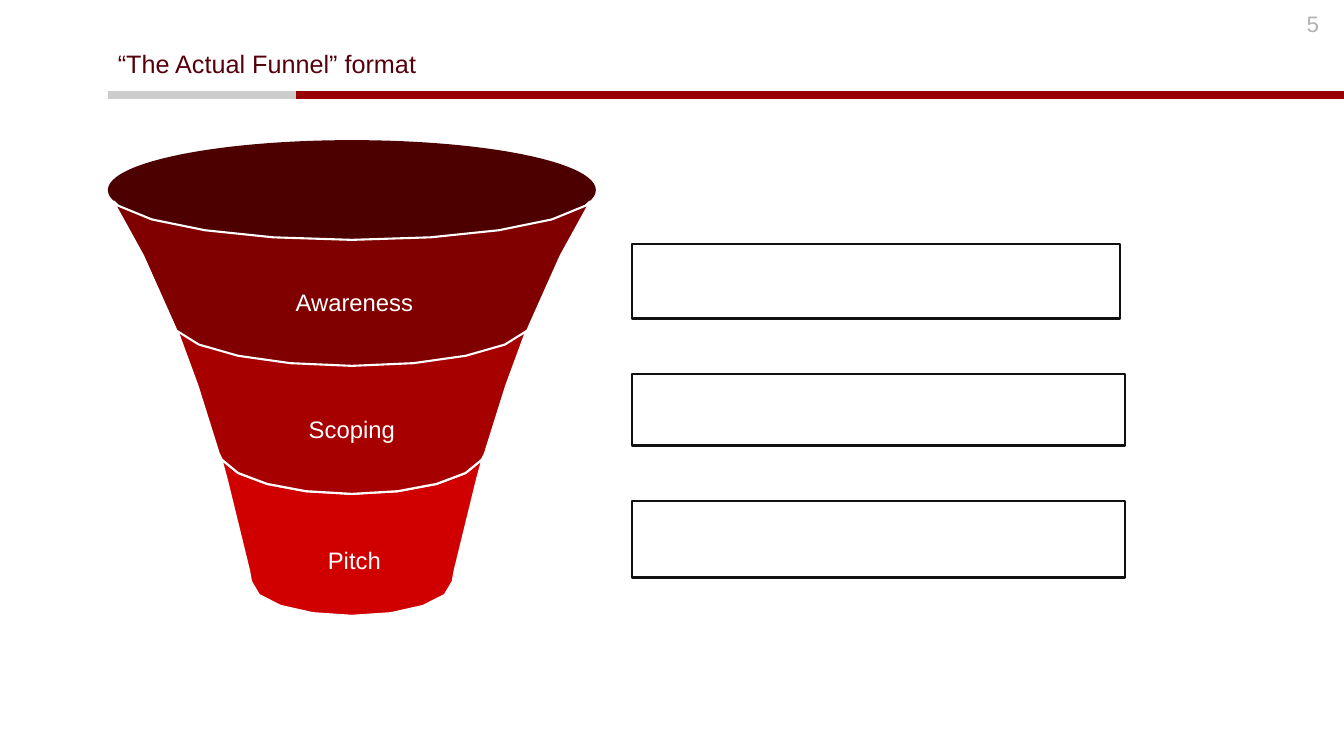
from pptx import Presentation
from pptx import util as u
from pptx.dml.color import RGBColor
from pptx.enum import shapes, text
from pptx.oxml.ns import qn
from lxml import etree

COLORS = {
    "rule": "990000", "rule_start": "CCCCCC", "title": "55000B", "number": "B2B2B2",
    "mouth": "4C0000", "awareness": "800000", "scoping": "A70000", "pitch": "D00000",
    "white": "FFFFFF", "box": "111111",
}
RGB = {name: RGBColor.from_string(value) for name, value in COLORS.items()}
AXIS = 3.49


def curve_points(curve, steps):
    points = []
    for i in range(steps + 1):
        t = i / steps
        weights = ((1 - t) ** 3, 3 * t * (1 - t) ** 2, 3 * t ** 2 * (1 - t), t ** 3)
        points.append(tuple(sum(w * q[k] for w, q in zip(weights, curve)) for k in (0, 1)))
    return points


def add_text(slide, box, content, size, color, align, anchor):
    sp = slide.shapes.add_textbox(*map(u.Inches, box))
    tf = sp.text_frame
    tf.word_wrap = True
    tf.vertical_anchor = anchor
    p = tf.paragraphs[0]
    p.alignment = align
    r = p.add_run()
    r.text = content
    for name, value in {"name": "Arial", "size": u.Pt(size)}.items():
        setattr(r.font, name, value)
    r.font.color.rgb = RGB[color]
    return p


prs = Presentation()
prs.slide_width, prs.slide_height = u.Inches(13.33), u.Inches(7.5)
s = prs.slides.add_slide(prs.slide_layouts[6])

for x1, x2, color in [(1.33, 13.33, "rule"), (1.07, 2.94, "rule_start")]:
    ln = s.shapes.add_connector(shapes.MSO_CONNECTOR.STRAIGHT,
                                u.Inches(x1), u.Inches(0.94), u.Inches(x2), u.Inches(0.94))
    ln.line.width = u.Pt(6)
    ln.line.color.rgb = RGB[color]
    etree.SubElement(ln._element.spPr, qn("a:effectLst"))

p = add_text(s, (1.07, 0.46, 11.63, 0.41), "“The Actual Funnel” format", 18, "title",
             text.PP_ALIGN.LEFT, text.MSO_ANCHOR.TOP)
for name, value in {"line_spacing": 0.9, "space_before": u.Pt(3)}.items():
    setattr(p, name, value)
add_text(s, (12.58, 0.05, 0.6, 0.4), "5", 16, "number",
         text.PP_ALIGN.RIGHT, text.MSO_ANCHOR.TOP)

mouth = s.shapes.add_shape(shapes.MSO_SHAPE.OVAL, *map(u.Inches, (1.07, 1.39, 4.84, 0.99)))
mouth.shadow.inherit = False
mouth.fill.solid()
mouth.fill.fore_color.rgb = RGB["mouth"]
mouth.line.fill.background()

bands = [
    ("pitch",
     [(0, 4.9), (0.64, 4.9), (1.17, 4.75), (1.29, 4.56)], (1.31, 4.5),
     [(1.24, 4.76), (1.16, 5.08), (1.09, 5.38), (1.02, 5.66)],
     [(1, 5.77), (1, 5.96), (0.55, 6.11), (0, 6.11)]),
    ("scoping",
     [(0, 3.62), (0.86, 3.62), (1.57, 3.46), (1.74, 3.26)], (1.77, 3.17),
     [(1.71, 3.34), (1.59, 3.64), (1.48, 3.96), (1.32, 4.5)],
     [(1.29, 4.56), (1.17, 4.75), (0.64, 4.9), (0, 4.9)]),
    ("awareness",
     [(0, 2.38), (1.09, 2.38), (2.02, 2.24), (2.32, 2.04)], (2.36, 2),
     [(2.34, 2.05), (2.16, 2.34), (1.99, 2.68), (1.78, 3.19)],
     [(1.74, 3.28), (1.57, 3.48), (0.86, 3.63), (0, 3.63)]),
]
for color, rim, lip, side, base in bands:
    half = curve_points(rim, 4) + [lip] + curve_points(side, 2) + curve_points(base, 4)
    outline = [(AXIS + x, y) for x, y in half] + [(AXIS - x, y) for x, y in half[-2:0:-1]]
    outline = [(u.Inches(x), u.Inches(y)) for x, y in outline]
    fb = s.shapes.build_freeform(*outline[0])
    fb.add_line_segments(outline[1:], close=True)
    sp = fb.convert_to_shape()
    sp.shadow.inherit = False
    sp.fill.solid()
    sp.fill.fore_color.rgb = RGB[color]
    sp.line.color.rgb = RGB["white"]
    sp.line.width = u.Pt(1.5)

for label, left, top, width in [("Awareness", 2.08, 2.8, 2.87), ("Scoping", 2.57, 4.06, 1.84),
                                ("Pitch", 2.86, 5.36, 1.31)]:
    add_text(s, (left, top, width, 0.39), label, 17, "white",
             text.PP_ALIGN.CENTER, text.MSO_ANCHOR.MIDDLE)

for top, width, height in [(2.42, 4.84, 0.74), (4.97, 4.89, 0.76), (3.71, 4.89, 0.71)]:
    sp = s.shapes.add_shape(shapes.MSO_SHAPE.RECTANGLE,
                            *map(u.Inches, (6.27, top, width, height)))
    sp.shadow.inherit = False
    sp.fill.background()
    sp.line.color.rgb = RGB["box"]
    sp.line.width = u.Pt(1.5)

prs.save("out.pptx")
